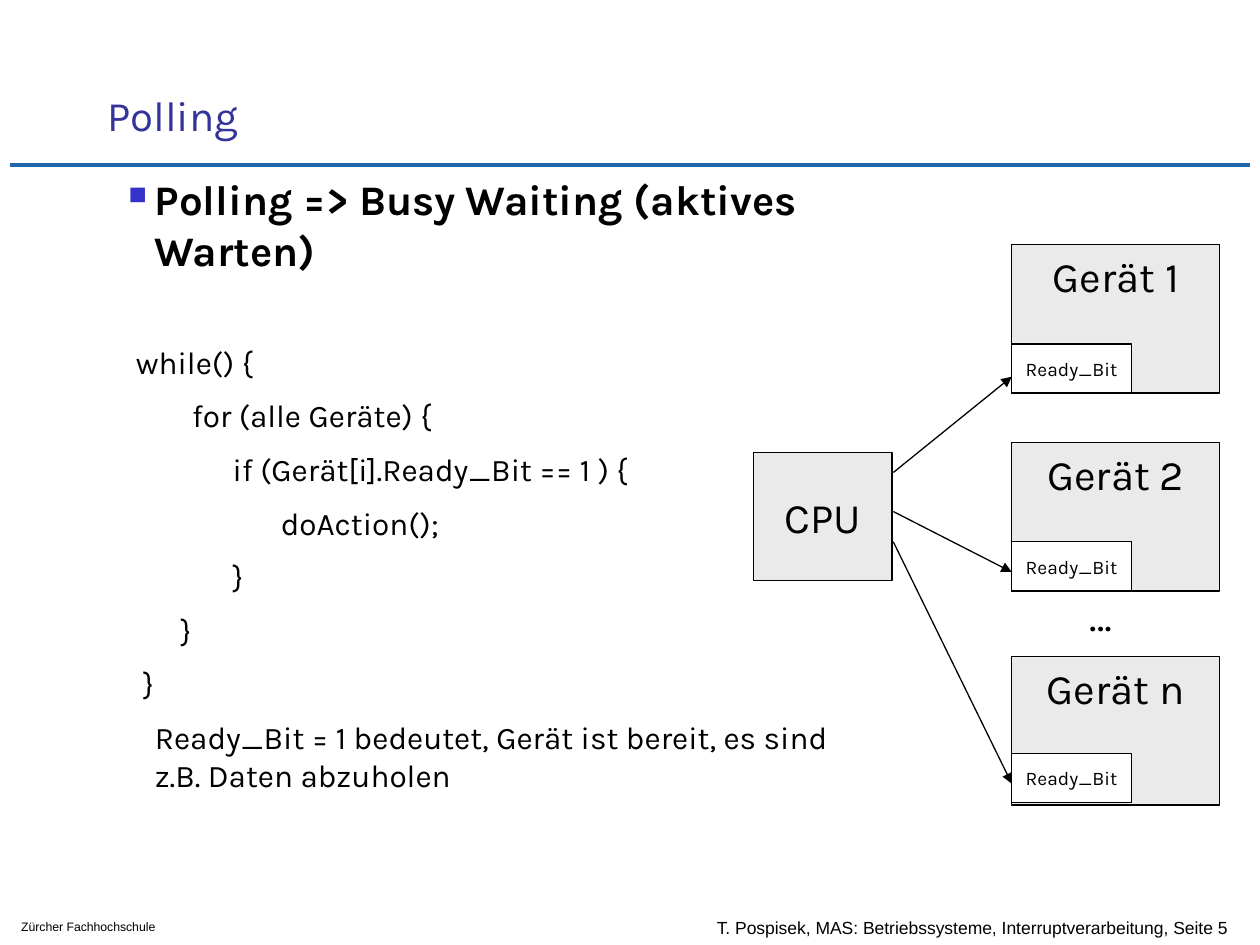
from dataclasses import dataclass

from lxml import etree
from pptx import Presentation
from pptx.dml.color import RGBColor
from pptx.enum.shapes import MSO_CONNECTOR, MSO_SHAPE
from pptx.enum.text import MSO_ANCHOR, MSO_AUTO_SIZE, PP_ALIGN
from pptx.oxml.ns import qn
from pptx.util import Inches, Pt

BLACK = RGBColor(0x00, 0x00, 0x00)
WHITE = RGBColor(0xFF, 0xFF, 0xFF)
GRAY = RGBColor(0xEA, 0xEA, 0xEA)
TITLE_BLUE = RGBColor(0x33, 0x33, 0x99)
RULE_BLUE = RGBColor(0x22, 0x66, 0xAB)
BULLET_BLUE = "3333CC"

TOP, MIDDLE, BOTTOM = MSO_ANCHOR.TOP, MSO_ANCHOR.MIDDLE, MSO_ANCHOR.BOTTOM
LEFT, CENTER = PP_ALIGN.LEFT, PP_ALIGN.CENTER
RECTANGLE, STRAIGHT = MSO_SHAPE.RECTANGLE, MSO_CONNECTOR.STRAIGHT

BODY_FONT, FOOTER_FONT = "Karla", "Arial"
HANGING = 0.21
CPU_RIGHT, DEVICE_LEFT = 7.09, 8.03

HEADING = "Polling => Busy Waiting (aktives Warten)"
CODE = [
    " while() {",
    "\t     for (alle Geräte) {",
    "\t\t  if (Gerät[i].Ready_Bit == 1 ) {",
    "\t\t\tdoAction();",
    "\t\t  }",
    "       }",
    "  }",
]
NOTE = "Ready_Bit = 1 bedeutet, Gerät ist bereit, es sind z.B. Daten abzuholen"


@dataclass
class Device:
    name: str
    top: float
    bit_top: float
    arrow_start: float
    arrow_end: float


DEVICES = [
    Device("Gerät 1", 1.94, 2.73, 3.75, 2.99),
    Device("Gerät 2", 3.51, 4.30, 4.06, 4.54),
    Device("Gerät n", 5.21, 5.98, 4.30, 6.22),
]


def style(paragraph, size: float, font: str = BODY_FONT,
          color: RGBColor = BLACK, align=LEFT) -> None:
    paragraph.alignment = align
    paragraph.font.name = font
    paragraph.font.size = Pt(size)
    paragraph.font.color.rgb = color


def add_line(slide, start: tuple, end: tuple, color: RGBColor, width: float,
             arrow: bool = False) -> None:
    line = slide.shapes.add_connector(STRAIGHT, *map(Inches, start + end))
    line.line.color.rgb = color
    line.line.width = Pt(width)
    if arrow:
        etree.SubElement(line.line._get_or_add_ln(), qn("a:tailEnd"), type="triangle")
    etree.SubElement(line._element.spPr, qn("a:effectLst"))


def add_box(slide, area: tuple, text: str, size: float, fill: RGBColor,
            anchor=MIDDLE) -> None:
    box = slide.shapes.add_shape(RECTANGLE, *map(Inches, area))
    box.shadow.inherit = False
    box.fill.solid()
    box.fill.fore_color.rgb = fill
    box.line.color.rgb = BLACK
    box.line.width = Pt(0.75)
    box.text_frame.word_wrap = False
    box.text_frame.vertical_anchor = anchor
    box.text_frame.text = text
    style(box.text_frame.paragraphs[0], size, align=CENTER)


def add_label(slide, area: tuple, text: str, size: float, font: str,
              anchor=TOP, align=LEFT) -> None:
    label = slide.shapes.add_textbox(*map(Inches, area))
    label.text_frame.word_wrap = align == LEFT
    label.text_frame.vertical_anchor = anchor
    label.text_frame.text = text
    style(label.text_frame.paragraphs[0], size, font, align=align)


def indent(paragraph, first_line: float) -> None:
    properties = paragraph._p.get_or_add_pPr()
    properties.set("marL", str(Inches(HANGING)))
    properties.set("indent", str(Inches(first_line)))


def add_square_bullet(paragraph) -> None:
    properties = paragraph._p.get_or_add_pPr()
    color = etree.SubElement(properties, qn("a:buClr"))
    etree.SubElement(color, qn("a:srgbClr"), val=BULLET_BLUE)
    etree.SubElement(properties, qn("a:buSzPct"), val="60000")
    etree.SubElement(properties, qn("a:buChar"), char="■")


def add_body(slide) -> None:
    body = slide.shapes.add_textbox(*map(Inches, (0.92, 1.33, 5.82, 5.33)))
    frame = body.text_frame
    frame.word_wrap = True

    heading = frame.paragraphs[0]
    heading.text = HEADING
    indent(heading, -HANGING)
    add_square_bullet(heading)
    style(heading, 24)
    heading.font.bold = True

    for index, text in enumerate(CODE + [NOTE]):
        paragraph = frame.add_paragraph()
        paragraph.text = text
        indent(paragraph, 0 if text == NOTE else -HANGING)
        paragraph.space_before = Pt(9 if index else 39)
        style(paragraph, 18)


def add_title(slide) -> None:
    title = slide.shapes.title
    title.left, title.top, title.width, title.height = map(
        Inches, (0.75, 0.33, 8.52, 0.83))
    title.text_frame.text = "Polling"
    title.text_frame.auto_size = MSO_AUTO_SIZE.NONE
    title.text_frame.vertical_anchor = BOTTOM
    style(title.text_frame.paragraphs[0], 24, color=TITLE_BLUE)


def main() -> None:
    deck = Presentation()
    deck.slide_width, deck.slide_height = Inches(10), Inches(7.5)
    slide = deck.slides.add_slide(deck.slide_layouts[5])

    add_title(slide)
    add_line(slide, (0.08, 1.31), (9.92, 1.31), RULE_BLUE, 2.5)
    add_label(slide, (5.59, 7.2, 5.29, 0.33),
              "T. Pospisek, MAS: Betriebssysteme, Interruptverarbeitung, Seite 5",
              10, FOOTER_FONT, MIDDLE)
    add_label(slide, (0.07, 7.25, 1.72, 0.22), "Zürcher Fachhochschule", 7, FOOTER_FONT)
    add_body(slide)

    add_box(slide, (5.98, 3.59, 1.1, 1.02), "CPU", 24, GRAY)
    for device in DEVICES:
        add_box(slide, (DEVICE_LEFT, device.top, 1.65, 1.18), device.name, 24, GRAY, TOP)
        add_box(slide, (DEVICE_LEFT, device.bit_top, 0.95, 0.39), "Ready_Bit", 11, WHITE)
        add_line(slide, (CPU_RIGHT, device.arrow_start),
                 (DEVICE_LEFT, device.arrow_end), BLACK, 0.75, arrow=True)
    add_label(slide, (8.51, 4.63, 0.46, 0.5), "…", 24, BODY_FONT, align=CENTER)

    deck.save("out.pptx")


if __name__ == "__main__":
    main()
